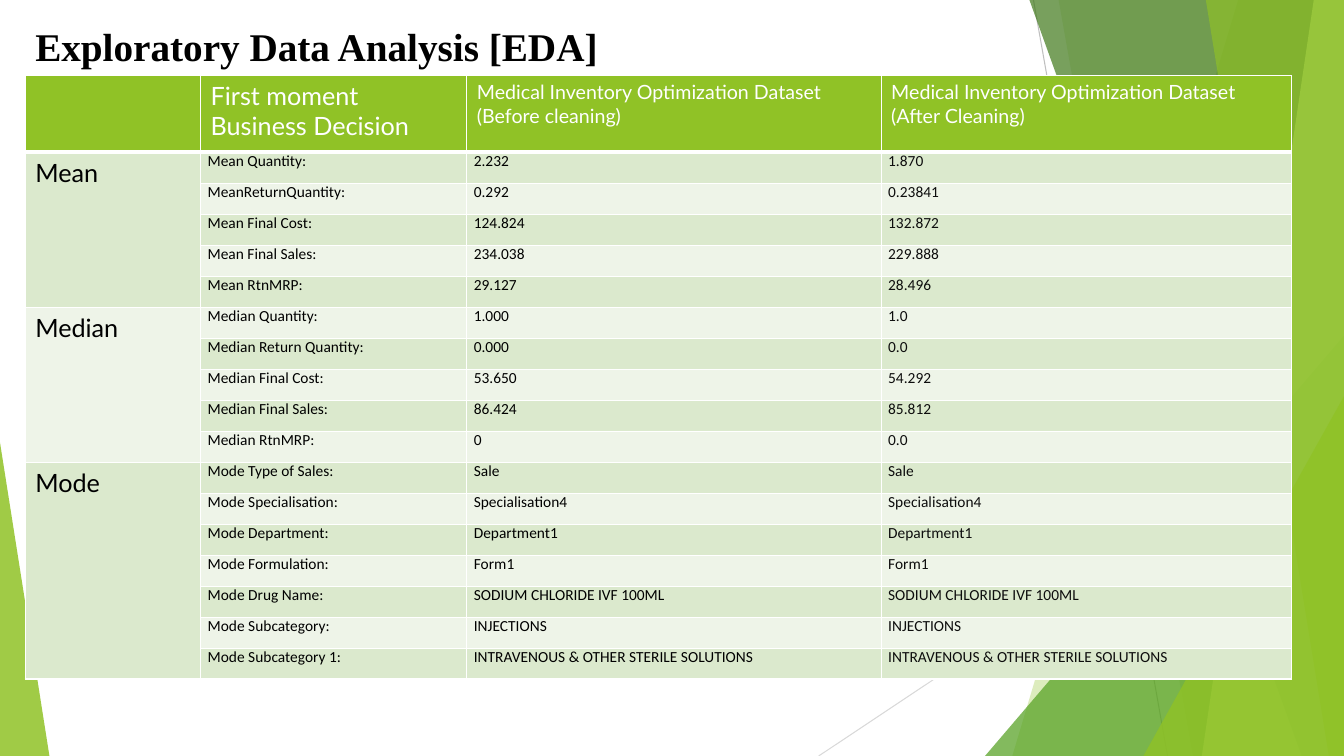
from lxml import etree
from pptx import Presentation
from pptx.dml.color import RGBColor
from pptx.enum.shapes import MSO_CONNECTOR, MSO_SHAPE
from pptx.enum.text import MSO_ANCHOR, MSO_AUTO_SIZE, PP_ALIGN
from pptx.oxml.ns import qn
from pptx.util import Inches, Pt

STRAIGHT = MSO_CONNECTOR.STRAIGHT
TRIANGLE = MSO_SHAPE.ISOSCELES_TRIANGLE
MIDDLE = MSO_ANCHOR.MIDDLE
LEFT = PP_ALIGN.LEFT
GROW = MSO_AUTO_SIZE.SHAPE_TO_FIT_TEXT

WIDTH, HEIGHT = 13.33, 7.5
GREEN, WHITE, BLACK, NEAR_BLACK = "90C226", "FFFFFF", "000000", "0D0D0D"
BANDS = ["DBE9CD", "EEF4E8"]

TABLE_BOX = (0.25, 0.75, 12.56, 5.99)
COLUMNS = [1.74, 2.64, 4.11, 4.07]
HEADER_HEIGHT = 0.76
HEADERS = [
    ("", 18),
    ("First moment Business Decision", 18),
    ("Medical Inventory Optimization Dataset (Before cleaning)", 14),
    ("Medical Inventory Optimization Dataset (After Cleaning)", 14),
]
STATISTICS = {
    "Mean": [
        ("Mean Quantity:", "2.232", "1.870"),
        ("MeanReturnQuantity:", "0.292", "0.23841"),
        ("Mean Final Cost:", "124.824", "132.872"),
        ("Mean Final Sales:", "234.038", "229.888"),
        ("Mean RtnMRP:", "29.127", "28.496"),
    ],
    "Median": [
        ("Median Quantity:", "1.000", "1.0"),
        ("Median Return Quantity:", "0.000", "0.0"),
        ("Median Final Cost:", "53.650", "54.292"),
        ("Median Final Sales:", "86.424", "85.812"),
        ("Median RtnMRP:", "0", "0.0"),
    ],
    "Mode": [
        ("Mode Type of Sales:", "Sale", "Sale"),
        ("Mode Specialisation:", "Specialisation4", "Specialisation4"),
        ("Mode Department:", "Department1", "Department1"),
        ("Mode Formulation:", "Form1", "Form1"),
        ("Mode Drug Name:", "SODIUM CHLORIDE IVF 100ML", "SODIUM CHLORIDE IVF 100ML"),
        ("Mode Subcategory:", "INJECTIONS", "INJECTIONS"),
        ("Mode Subcategory 1:", "INTRAVENOUS & OTHER STERILE SOLUTIONS",
         "INTRAVENOUS & OTHER STERILE SOLUTIONS"),
    ],
}


def set_attrs(obj, values):
    for name, value in values.items():
        setattr(obj, name, value)


def rgb(color):
    return RGBColor.from_string(color)


def write(p, text, size, font, color, bold=False):
    r = p.add_run()
    r.text = text
    set_attrs(r.font, {"size": Pt(size), "name": font, "bold": bold})
    r.font.color.rgb = rgb(color)


def paint(sp, color, opacity):
    sp.shadow.inherit = False
    sp.line.fill.background()
    sp.fill.solid()
    sp.fill.fore_color.rgb = rgb(color)
    clr = sp.element.spPr.find(qn("a:solidFill")).find(qn("a:srgbClr"))
    etree.SubElement(clr, qn("a:alpha")).set("val", str(opacity * 1000))


def add_line(s, x1, y1, x2, y2, color):
    line = s.shapes.add_connector(STRAIGHT, *map(Inches, (x1, y1, x2, y2)))
    line.line.color.rgb = rgb(color)
    line.line.width = Pt(0.75)
    etree.SubElement(line.element.spPr, qn("a:effectLst"))


def add_band(s, top_x, bottom_x, color, opacity):
    corners = [(WIDTH, 0), (WIDTH, HEIGHT), (bottom_x, HEIGHT)]
    builder = s.shapes.build_freeform(Inches(top_x), 0)
    builder.add_line_segments([(Inches(x), Inches(y)) for x, y in corners], close=True)
    paint(builder.convert_to_shape(), color, opacity)


def add_triangle(s, left, top, width, apex, color, opacity):
    box = map(Inches, (left, top, width, HEIGHT - top))
    sp = s.shapes.add_shape(TRIANGLE, *box)
    sp.adjustments[0] = apex
    paint(sp, color, opacity)


def add_backdrop(s):
    add_line(s, 10.25, 0, 11.58, HEIGHT, "BFBFBF")
    add_line(s, WIDTH, 4.03, 8.12, HEIGHT, "D9D9D9")
    add_band(s, 12.28, 10.04, GREEN, 30)
    add_band(s, 10.5, 11.83, GREEN, 20)
    add_triangle(s, 9.77, 3.33, 3.56, 1, "54A021", 72)
    add_band(s, 10.21, 12.91, "3F7819", 70)
    add_band(s, 13.03, 11.92, "C0E474", 70)
    add_band(s, 11.96, 13.18, GREEN, 65)
    add_triangle(s, 11.34, 3.93, 1.99, 1, GREEN, 80)
    add_triangle(s, 0, 4.39, 0.49, 0, GREEN, 85)


def add_title(s, text):
    sp = s.shapes.title
    sp.element.getparent().append(sp.element)
    set_attrs(sp, {"left": Inches(0.25), "top": Inches(0.22),
                   "width": Inches(11.5), "height": Inches(0.52)})
    tf = sp.text_frame
    set_attrs(tf, {"word_wrap": True, "vertical_anchor": MIDDLE, "auto_size": GROW})
    p = tf.paragraphs[0]
    set_attrs(p, {"alignment": LEFT, "line_spacing": 0.9})
    write(p, text, 28, "Times New Roman", BLACK, True)


def add_border(cell, side, points):
    tcPr = cell._tc.get_or_add_tcPr()
    ln = etree.SubElement(tcPr, qn(f"a:ln{side}"), w=str(Pt(points)))
    fill = etree.SubElement(ln, qn("a:solidFill"))
    etree.SubElement(fill, qn("a:srgbClr"), val=WHITE)


def style_cell(cell, fill, bottom=1):
    for side in "LRT":
        add_border(cell, side, 1)
    add_border(cell, "B", bottom)
    cell.fill.solid()
    cell.fill.fore_color.rgb = rgb(fill)


def add_value(cell, text, fill, color):
    style_cell(cell, fill)
    set_attrs(cell, {"margin_left": Inches(0.07), "margin_right": Inches(0.07),
                     "margin_top": 0, "margin_bottom": 0})
    write(cell.text_frame.paragraphs[0], text, 11, "Calibri", color)


def add_statistics(s):
    count = sum(map(len, STATISTICS.values()))
    frame = s.shapes.add_table(count + 1, len(COLUMNS), *map(Inches, TABLE_BOX))
    table = frame.table
    table.horz_banding = False
    for column, width in zip(table.columns, COLUMNS):
        column.width = Inches(width)
    for row in table.rows:
        row.height = Inches((TABLE_BOX[3] - HEADER_HEIGHT) / count)
    table.rows[0].height = Inches(HEADER_HEIGHT)

    for col, (text, size) in enumerate(HEADERS):
        cell = table.cell(0, col)
        style_cell(cell, GREEN, 3)
        if text:
            write(cell.text_frame.paragraphs[0], text, size, "Lato", WHITE)

    row = 1
    for name, records in STATISTICS.items():
        label = table.cell(row, 0)
        label_fill = BANDS[(row - 1) % 2]
        write(label.text_frame.paragraphs[0], name, 18, "Lato", BLACK)
        label.merge(table.cell(row + len(records) - 1, 0))
        for record in records:
            style_cell(table.cell(row, 0), label_fill)
            colors = (BLACK, BLACK, NEAR_BLACK)
            for col, (text, color) in enumerate(zip(record, colors), 1):
                add_value(table.cell(row, col), text, BANDS[(row - 1) % 2], color)
            row += 1


def main():
    prs = Presentation()
    set_attrs(prs, {"slide_width": Inches(WIDTH), "slide_height": Inches(HEIGHT)})
    s = prs.slides.add_slide(prs.slide_layouts[5])
    add_backdrop(s)
    add_title(s, "Exploratory Data Analysis [EDA]")
    add_statistics(s)
    prs.save("out.pptx")


if __name__ == "__main__":
    main()
